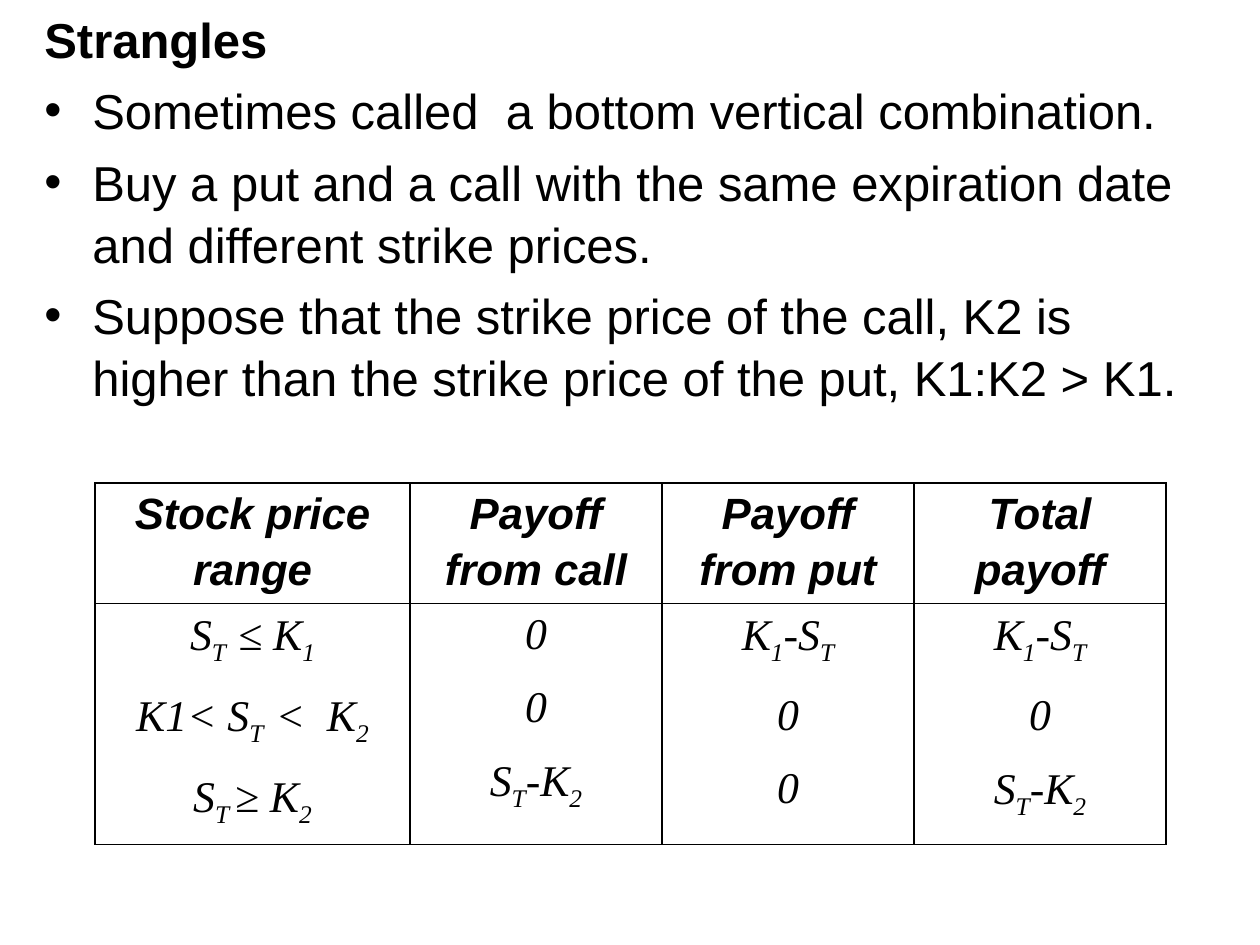
from dataclasses import dataclass

from lxml.etree import SubElement
from pptx import Presentation
from pptx.dml.color import RGBColor
from pptx.enum.text import PP_ALIGN
from pptx.oxml.ns import qn
from pptx.util import Emu, Pt

PIXELS_PER_INCH = 126
HEADERS = ["Stock price range", "Payoff from call", "Payoff from put", "Total payoff"]
# Every second piece between bars is a subscript.
PAYOFFS = [
    ["S|T  |≤ K|1", "K1< S|T  |<  K|2", "S|T |≥ K|2"],
    ["0", "0", "S|T|-K|2"],
    ["K|1|-S|T", "0", "0"],
    ["K|1|-S|T", "0", "S|T|-K|2"],
]
BULLETS = [
    "Sometimes called  a bottom vertical combination.",
    "Buy a put and a call with the same expiration date and different strike prices.",
    "Suppose that the strike price of the call, K2 is higher than the strike price "
    "of the put, K1:K2 > K1.",
]


@dataclass(frozen=True)
class Theme:
    ink: str = "000000"
    body_font: str = "Arial"
    formula_font: str = "Times New Roman"
    body_size: int = 28
    table_size: int = 25
    border_width: int = 1


def px(length):
    return Emu(round(length * 914400 / PIXELS_PER_INCH))


class SlideBuilder:
    def __init__(self, slide, theme):
        self.slide = slide
        self.theme = theme

    def style(self, font, name, size, bold=False, italic=False):
        font.name = name
        font.size = Pt(size)
        font.bold = bold
        font.italic = italic
        font.color.rgb = RGBColor.from_string(self.theme.ink)

    def add_outline(self, left, top, width, height, title, bullets):
        box = self.slide.shapes.add_textbox(px(left), px(top), px(width), px(height))
        text_frame = box.text_frame
        text_frame.word_wrap = True
        text_frame.text = "\n".join([title, *bullets])
        for index, paragraph in enumerate(text_frame.paragraphs):
            is_title = index == 0
            paragraph.line_spacing = 1.05
            paragraph.space_before = Pt(0 if is_title else 5.6)
            properties = paragraph._p.get_or_add_pPr()
            properties.set("marL", str(px(48)))
            properties.set("indent", str(px(-48)))
            if not is_title:
                SubElement(properties, qn("a:buFont"), typeface=self.theme.body_font)
                SubElement(properties, qn("a:buChar"), char="•")
            for run in paragraph.runs:
                self.style(run.font, self.theme.body_font, self.theme.body_size, bold=is_title)

    def add_table(self, left, top, column_widths, row_heights, headers, columns):
        frame = self.slide.shapes.add_table(
            len(row_heights), len(column_widths), px(left), px(top),
            px(sum(column_widths)), px(sum(row_heights)))
        table = frame.table
        table.first_row = table.horz_banding = False
        for row, height in zip(table.rows, row_heights):
            row.height = px(height)
        for index, width in enumerate(column_widths):
            table.columns[index].width = px(width)
            self.fill_cell(table.cell(0, index), [headers[index]], self.theme.body_font, True)
            self.fill_cell(table.cell(1, index), columns[index], self.theme.formula_font, False)

    def fill_cell(self, cell, lines, font_name, bold):
        cell.margin_left = cell.margin_right = px(9)
        cell.margin_top = cell.margin_bottom = 0
        self.add_borders(cell)
        cell.fill.background()
        text_frame = cell.text_frame
        for index, line in enumerate(lines):
            paragraph = text_frame.add_paragraph() if index else text_frame.paragraphs[0]
            paragraph.alignment = PP_ALIGN.CENTER
            paragraph.line_spacing = 1.15
            paragraph.space_after = Pt(10)
            for position, piece in enumerate(line.split("|")):
                run = paragraph.add_run()
                run.text = piece
                self.style(run.font, font_name, self.theme.table_size, bold, italic=True)
                if position % 2:
                    run.font._element.set("baseline", "-25000")

    def add_borders(self, cell):
        properties = cell._tc.get_or_add_tcPr()
        for side in ("a:lnL", "a:lnR", "a:lnT", "a:lnB"):
            line = SubElement(properties, qn(side), w=str(Pt(self.theme.border_width)))
            fill = SubElement(line, qn("a:solidFill"))
            SubElement(fill, qn("a:srgbClr"), val=self.theme.ink)


def main():
    presentation = Presentation()
    presentation.slide_width = px(1260)
    presentation.slide_height = px(945)
    slide = presentation.slides.add_slide(presentation.slide_layouts[6])
    builder = SlideBuilder(slide, Theme())
    builder.add_outline(32, 0, 1187, 844, "Strangles", BULLETS)
    builder.add_table(95, 483, [315, 252, 252, 252], [117, 222], HEADERS, PAYOFFS)
    presentation.save("out.pptx")


if __name__ == "__main__":
    main()
